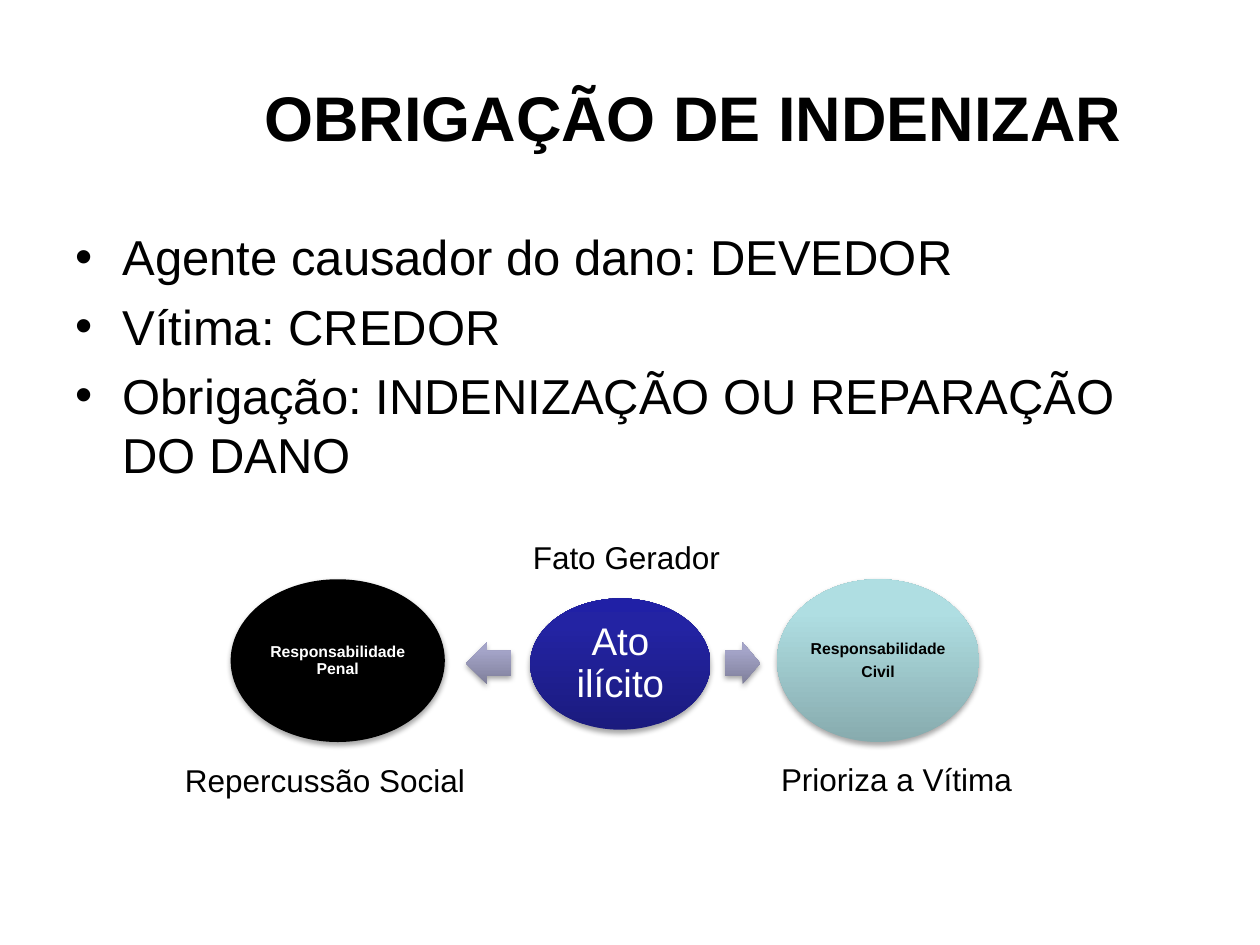
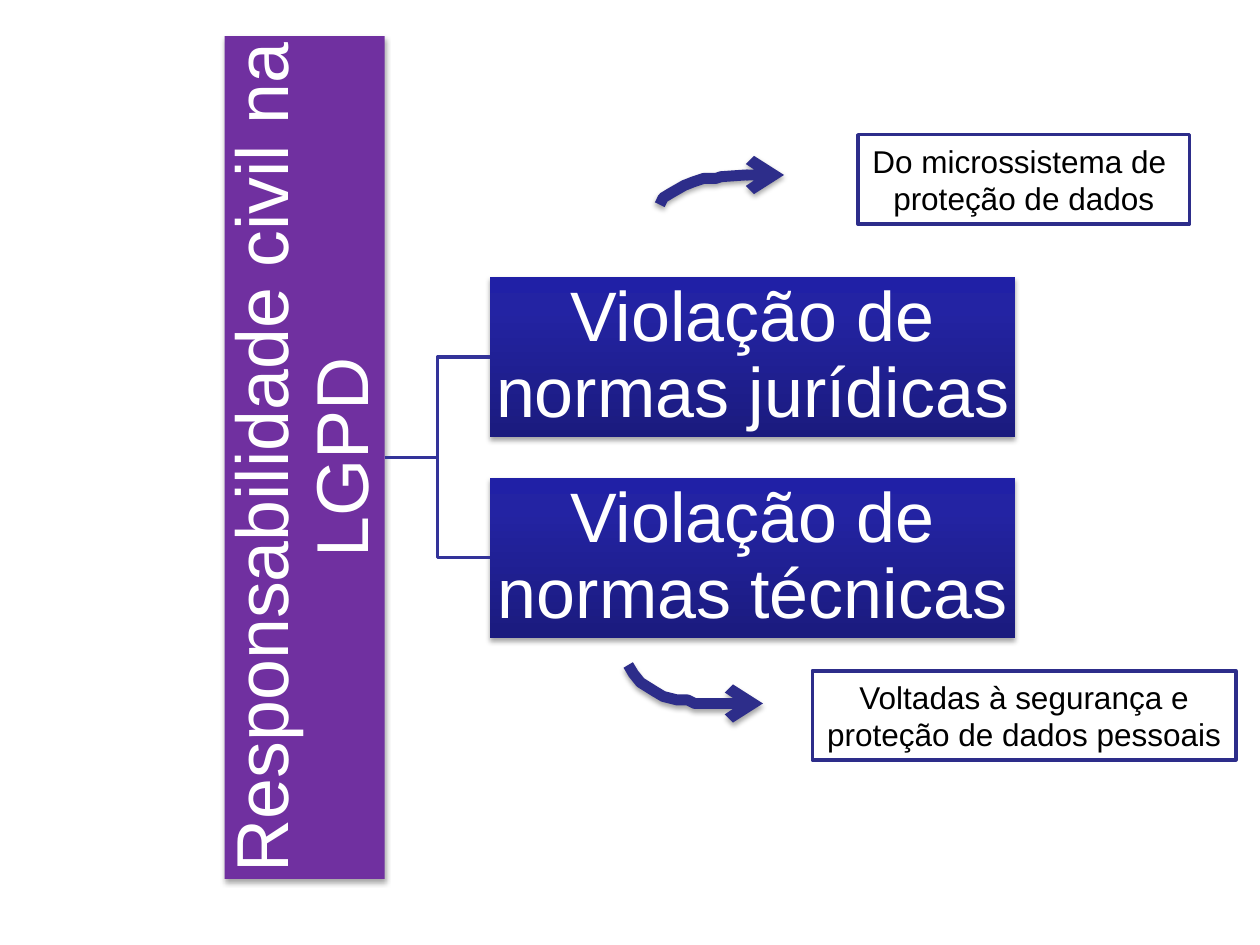
"""Builds two slides on civil liability and the duty to indemnify."""
import copy

import lxml.etree
import pptx
import pptx.dml.color
import pptx.enum.dml
import pptx.enum.shapes
import pptx.enum.text
import pptx.oxml.ns
import pptx.util

Pt = pptx.util.Pt
SHAPE = pptx.enum.shapes.MSO_SHAPE
CENTER = pptx.enum.text.PP_ALIGN.CENTER
LEFT = pptx.enum.text.PP_ALIGN.LEFT
TOP = pptx.enum.text.MSO_ANCHOR.TOP
MIDDLE = pptx.enum.text.MSO_ANCHOR.MIDDLE

BLACK, WHITE, PURPLE = "000000", "FFFFFF", "7030A0"
NAVY, INDIGO = "2D2D8A", "333399"
BLUE = ("1B1B7E", "2323A3", "2020A6")
LILAC = ("7F7F9A", "A4A4C8", "A5A5C9")
AQUA = ("87ABAE", "AFDEE2", "AFE0E4")
STOPS = (0, 0.8, 1)

TITLE = "OBRIGAÇÃO DE INDENIZAR"
DUTIES = [
    "Agente causador do dano: DEVEDOR",
    "Vítima: CREDOR",
    "Obrigação: INDENIZAÇÃO OU REPARAÇÃO DO DANO",
]
LIABILITIES = [
    (SHAPE.OVAL, (303, 342, 103, 75), BLUE, ["Ato ilícito"], {"size": 22}),
    (SHAPE.OVAL, (131.8, 331, 122.4, 93), BLACK, ["Responsabilidade Penal"],
     {"size": 9, "bold": True, "inset": 1}),
    (SHAPE.OVAL, (444, 331, 115.5, 93), AQUA, ["Responsabilidade", "Civil"],
     {"size": 9, "bold": True, "inset": 1, "color": BLACK}),
    (SHAPE.LEFT_ARROW, (266.2, 367, 26, 24), LILAC, [], {}),
    (SHAPE.RIGHT_ARROW, (414.2, 367, 20.2, 24), LILAC, [], {}),
]
CAPTIONS = [
    ("Repercussão Social", (98.6, 431.3, 176.4, 29)),
    ("Prioriza a Vítima", (439.2, 430.6, 147.6, 29)),
    ("Fato Gerador", (297.4, 303.8, 122.4, 29)),
]

LAW = "Responsabilidade civil na LGPD"
LAW_BOX = (128.3, 20.6, 91.6, 481.6)
VIOLATIONS = ["Violação de normas jurídicas", "Violação de normas técnicas"]
VIOLATION_BOX, VIOLATION_STEP = (280, 158.4, 300, 91.4), 114.6
SCOPES = [
    (["Do microssistema de ", "proteção de dados"], (490.3, 77, 189.4, 51)),
    (["Voltadas à segurança e", "proteção de dados pessoais"], (464.2, 383.3, 242, 51)),
]
CURVES = [
    [(359.3, 380.2), (362.2, 385.2), (366.5, 389.5), (373.7, 395.3), (379.4, 398.2),
     (386.6, 399.6), (393.1, 400.3), (396.7, 401.8), (411, 402.3), (435.6, 402.5)],
    [(377.3, 116.6), (379.4, 113), (383.8, 110.2), (391, 105.8), (396, 103.7),
     (402.5, 102.2), (409, 101.5), (411.8, 100.8), (426, 100.2), (448, 100)],
]


def rgb(color):
    return pptx.dml.color.RGBColor.from_string(color)


def apply(target, values):
    for name, value in values.items():
        setattr(target, name, value)


def add_xml(parent, tag, **attributes):
    return lxml.etree.SubElement(parent, pptx.oxml.ns.qn(tag), attributes)


def paint(shape, color):
    if isinstance(color, str):
        shape.fill.solid()
        shape.fill.fore_color.rgb = rgb(color)
        return
    shape.fill.gradient()
    shape.fill.gradient_angle = 90
    stop_list = shape.element.spPr.xpath(".//a:gsLst")[0]
    stop_list.append(copy.deepcopy(stop_list[0]))
    for stop, position, shade in zip(shape.fill.gradient_stops, STOPS, color):
        stop.position = position
        stop.color.rgb = rgb(shade)


def outline(line, color, width):
    line.color.rgb = rgb(color)
    line.width = Pt(width)


def cast_shadow(shape):
    shape.shadow.inherit = False
    effects = shape.element.spPr.find(pptx.oxml.ns.qn("a:effectLst"))
    shadow = add_xml(effects, "a:outerShdw", blurRad=str(Pt(3.1)), dist=str(Pt(1.8)),
                     dir="5400000", rotWithShape="0")
    black = add_xml(shadow, "a:srgbClr", val=BLACK)
    add_xml(black, "a:alpha", val="35000")


def write(shape, lines, size, color=BLACK, bold=False, align=CENTER, anchor=MIDDLE,
          inset=None, wrap=True, **spacing):
    frame = shape.text_frame
    apply(frame, {"word_wrap": wrap, "vertical_anchor": anchor})
    if inset is not None:
        sides = ("margin_left", "margin_top", "margin_right", "margin_bottom")
        apply(frame, dict.fromkeys(sides, Pt(inset)))
    for index, line in enumerate(lines):
        paragraph = frame.add_paragraph() if index else frame.paragraphs[0]
        apply(paragraph, {"alignment": align, **spacing})
        run = paragraph.add_run()
        run.text = line
        apply(run.font, {"name": "Arial", "size": Pt(size), "bold": bold})
        run.font.color.rgb = rgb(color)
    return frame


def add_box(slide, preset, box, fill):
    shape = slide.shapes.add_shape(preset, *map(Pt, box))
    paint(shape, fill)
    shape.line.fill.background()
    shape.shadow.inherit = False
    return shape


def add_block(slide, preset, box, fill, lines, style):
    block = add_box(slide, preset, box, fill)
    cast_shadow(block)
    if lines:
        style = {"color": WHITE, "inset": 2, **style}
        write(block, lines, line_spacing=0.9, space_after=Pt(style["size"] * 0.35), **style)
    return block


def add_textbox(slide, box):
    return slide.shapes.add_textbox(*map(Pt, box))


def build_duty_slide(slide):
    title = write(add_textbox(slide, (36, 21.6, 648, 90)), [TITLE], 36, bold=True)
    title.paragraphs[0]._p.get_or_add_pPr().set("marL", str(Pt(72)))
    duties = write(add_textbox(slide, (36, 126, 648, 356)), DUTIES, 28,
                   align=LEFT, anchor=TOP, space_before=Pt(6))
    for duty in duties.paragraphs:
        properties = duty._p.get_or_add_pPr()
        properties.set("marL", str(Pt(27)))
        properties.set("indent", str(-Pt(27)))
        add_xml(properties, "a:buFont", typeface="Arial")
        add_xml(properties, "a:buChar", char="•")
    for preset, box, fill, lines, style in LIABILITIES:
        block = add_block(slide, preset, box, fill, lines, style)
        if preset != SHAPE.OVAL:
            block.adjustments[0], block.adjustments[1] = 0.6, 0.5
    for caption, box in CAPTIONS:
        write(add_textbox(slide, box), [caption], 18, align=LEFT, anchor=TOP, wrap=False)


def add_branch(slide, law, violation):
    branch = slide.shapes.add_connector(pptx.enum.shapes.MSO_CONNECTOR.ELBOW, 0, 0, 0, 0)
    branch.begin_connect(law, 3)
    branch.end_connect(violation, 1)
    outline(branch.line, INDIGO, 2)
    add_xml(branch.element.spPr, "a:effectLst")


def add_curve(slide, points):
    builder = slide.shapes.build_freeform(*points[0], scale=Pt(1))
    builder.add_line_segments(points[1:], close=False)
    curve = builder.convert_to_shape()
    curve.fill.background()
    outline(curve.line, NAVY, 6.25)
    add_xml(curve.line._get_or_add_ln(), "a:round")
    add_xml(curve.line._get_or_add_ln(), "a:tailEnd", type="arrow")
    cast_shadow(curve)


def build_law_slide(slide):
    law = add_block(slide, SHAPE.RECTANGLE, LAW_BOX, PURPLE, [LAW], {"size": 42})
    law.text_frame._txBody.bodyPr.set("vert", "vert270")
    left, top, width, height = VIOLATION_BOX
    for row, violation in enumerate(VIOLATIONS):
        box = (left, top + row * VIOLATION_STEP, width, height)
        block = add_block(slide, SHAPE.RECTANGLE, box, BLUE, [violation], {"size": 40})
        add_branch(slide, law, block)
    for lines, box in SCOPES:
        scope = add_box(slide, SHAPE.RECTANGLE, box, WHITE)
        outline(scope.line, NAVY, 2)
        write(scope, lines, 18, wrap=False)
    for points in CURVES:
        add_curve(slide, points)


def main():
    deck = pptx.Presentation()
    apply(deck, {"slide_width": Pt(720), "slide_height": Pt(540)})
    for build in (build_duty_slide, build_law_slide):
        build(deck.slides.add_slide(deck.slide_layouts[6]))
    deck.save("out.pptx")


if __name__ == "__main__":
    main()
